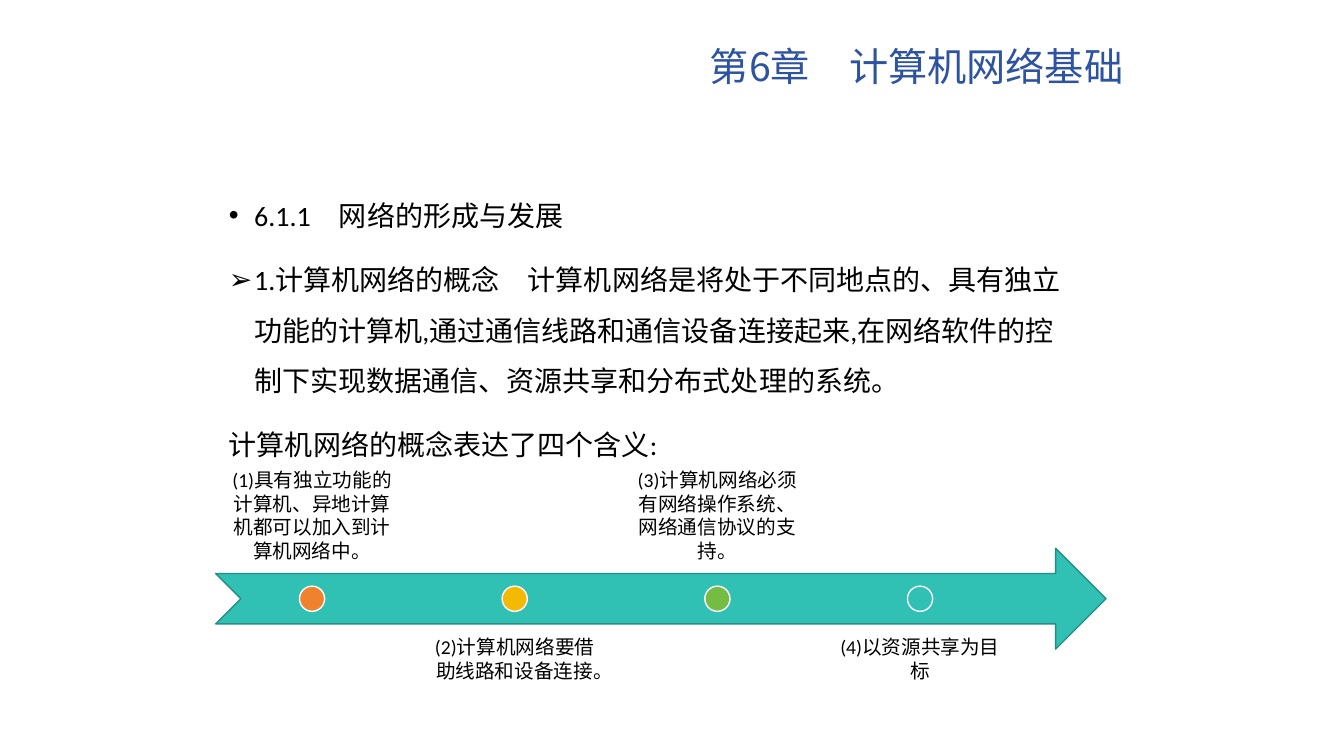
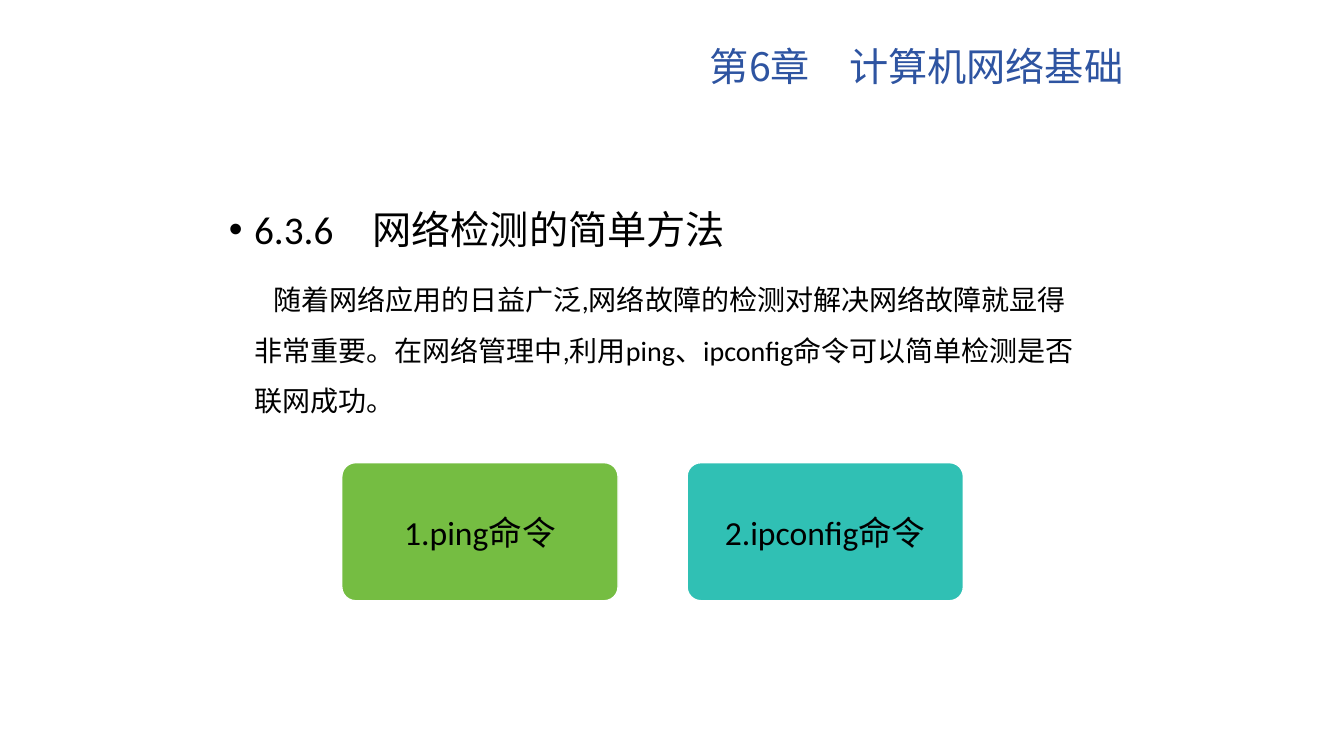
from lxml.etree import SubElement
from pptx import Presentation
from pptx.dml.color import RGBColor
from pptx.enum.shapes import MSO_SHAPE
from pptx.enum.text import MSO_ANCHOR, MSO_AUTO_SIZE, PP_ALIGN
from pptx.oxml.ns import qn
from pptx.util import Inches, Pt

BLUE = RGBColor(0x2E, 0x54, 0xA1)
TEAL = RGBColor(0x30, 0xC0, 0xB4)
PINE = RGBColor(0x24, 0x8E, 0x85)
ORANGE = RGBColor(0xEE, 0x82, 0x2F)
GOLD = RGBColor(0xF2, 0xBA, 0x02)
GREEN = RGBColor(0x75, 0xBD, 0x42)
BLACK = RGBColor(0, 0, 0)
WHITE = RGBColor(0xFF, 0xFF, 0xFF)

LATIN = "Calibri"
HAN = "Noto Sans CJK JP"
TITLE = "第6章　计算机网络基础"
HANG = 0.25

# Timeline grid
LEFT, TOP = 2.14, 5.44
BAND_W, BAND_H = 8.83, 1
STEP, LABEL_W = 2.01, 1.91
DOT = 0.25

# Card grid
CARD_X, CARD_Y = 3.39, 4.59
CARD_W, CARD_H = 2.74, 1.37
PITCH = CARD_W * 1.25


def place(shape, x, y, w, h):
    shape.left, shape.top = Inches(x), Inches(y)
    shape.width, shape.height = Inches(w), Inches(h)


def write(frame, text, size=20, font=LATIN, color=BLACK, align=PP_ALIGN.LEFT,
          line=None, before=0, bullet=None, margin=None, indent=0):
    """Fill the frame's empty first paragraph, or add one after the last."""
    para = frame.paragraphs[0]
    if para.runs:
        para = frame.add_paragraph()
        para.space_before = Pt(before)
    else:
        para.space_before = Pt(0)
    para.alignment = align
    if line:
        para.line_spacing = line
    if margin is not None:
        props = para._p.get_or_add_pPr()
        props.set("marL", str(Inches(margin)))
        props.set("indent", str(Inches(indent)))
        if bullet:
            SubElement(props, qn("a:buChar"), char=bullet)
        else:
            SubElement(props, qn("a:buNone"))
    run = para.add_run()
    run.text = text
    run.font.name, run.font.size = font, Pt(size)
    run.font.color.rgb = color
    if font == HAN:
        SubElement(run._r.get_or_add_rPr(), qn("a:ea"), typeface=font)


def draw(slide, kind, x, y, w, h, fill, line=WHITE):
    shape = slide.shapes.add_shape(kind, Inches(x), Inches(y), Inches(w), Inches(h))
    shape.shadow.inherit = False
    shape.fill.solid()
    shape.fill.fore_color.rgb = fill
    shape.line.color.rgb = line
    shape.line.width = Pt(1)
    return shape


def set_frame(frame, anchor, side, edge):
    frame.word_wrap = True
    frame.vertical_anchor = anchor
    frame.margin_left = frame.margin_right = Inches(side)
    frame.margin_top = frame.margin_bottom = Inches(edge)


def add_page(deck, items):
    """Add a slide with the chapter title and a body of (text, format) items."""
    slide = deck.slides.add_slide(deck.slide_layouts[1])
    title, body = slide.placeholders
    write(title.text_frame, TITLE, size=28, font=HAN, color=BLUE,
          align=PP_ALIGN.RIGHT, line=0.9)
    for text, style in items:
        style = {"margin": HANG, "indent": -HANG, **style}
        write(body.text_frame, text, line=1.5, before=10, **style)
    for holder in (title, body):
        holder.text_frame.auto_size = MSO_AUTO_SIZE.NONE
    return slide


def add_stop(slide, col, text, fill):
    """Add a dot on the band, with its label above or below by turns."""
    x = LEFT + col * STEP
    above = col % 2 == 0
    y = TOP + BAND_H * (-0.75 if above else 0.75)
    label = slide.shapes.add_textbox(Inches(x), Inches(y), Inches(LABEL_W), Inches(BAND_H))
    set_frame(label.text_frame, MSO_ANCHOR.BOTTOM if above else MSO_ANCHOR.TOP, 0.11, 0.11)
    write(label.text_frame, text, size=14, align=PP_ALIGN.CENTER)
    draw(slide, MSO_SHAPE.OVAL, x + (LABEL_W - DOT) / 2,
         TOP + (BAND_H - DOT) / 2, DOT, DOT, fill)


def add_card(slide, col, text, fill):
    card = draw(slide, MSO_SHAPE.ROUNDED_RECTANGLE, CARD_X + col * PITCH, CARD_Y,
                CARD_W, CARD_H, fill)
    card.adjustments[0] = 0.1
    set_frame(card.text_frame, MSO_ANCHOR.MIDDLE, 0.05, 0.03)
    write(card.text_frame, text, size=24, align=PP_ALIGN.CENTER)


def add_concept(deck):
    slide = add_page(deck, [
        ("6.1.1　网络的形成与发展", {"bullet": "•"}),
        ("1.计算机网络的概念　计算机网络是将处于不同地点的、具有独立功能的计算机,"
         "通过通信线路和通信设备连接起来,在网络软件的控制下实现数据通信、"
         "资源共享和分布式处理的系统。", {"bullet": "➢"}),
        ("计算机网络的概念表达了四个含义:", {}),
    ])
    draw(slide, MSO_SHAPE.NOTCHED_RIGHT_ARROW, LEFT, TOP, BAND_W, BAND_H, TEAL, PINE)
    stops = [
        ("(1)具有独立功能的计算机、异地计算机都可以加入到计算机网络中。", ORANGE),
        ("(2)计算机网络要借助线路和设备连接。", GOLD),
        ("(3)计算机网络必须有网络操作系统、网络通信协议的支持。", GREEN),
        ("(4)以资源共享为目标", TEAL),
    ]
    for col, (text, fill) in enumerate(stops):
        add_stop(slide, col, text, fill)


def add_checks(deck):
    slide = add_page(deck, [
        ("6.3.6　网络检测的简单方法", {"bullet": "•", "size": 28}),
        ("随着网络应用的日益广泛,网络故障的检测对解决网络故障就显得非常重要。"
         "在网络管理中,利用ping、ipconfig命令可以简单检测是否联网成功。",
         {"indent": 0.19}),
    ])
    for col, (text, fill) in enumerate([("1.ping命令", GREEN), ("2.ipconfig命令", TEAL)]):
        add_card(slide, col, text, fill)


def main():
    deck = Presentation()
    deck.slide_width, deck.slide_height = Inches(13.33), Inches(7.5)
    title, body = list(deck.slide_layouts[1].placeholders)[:2]
    place(title, 2.17, 0.3, 9.07, 0.76)
    place(body, 2.17, 1.75, 8.64, 5.33)
    add_concept(deck)
    add_checks(deck)
    deck.save("out.pptx")


if __name__ == "__main__":
    main()
